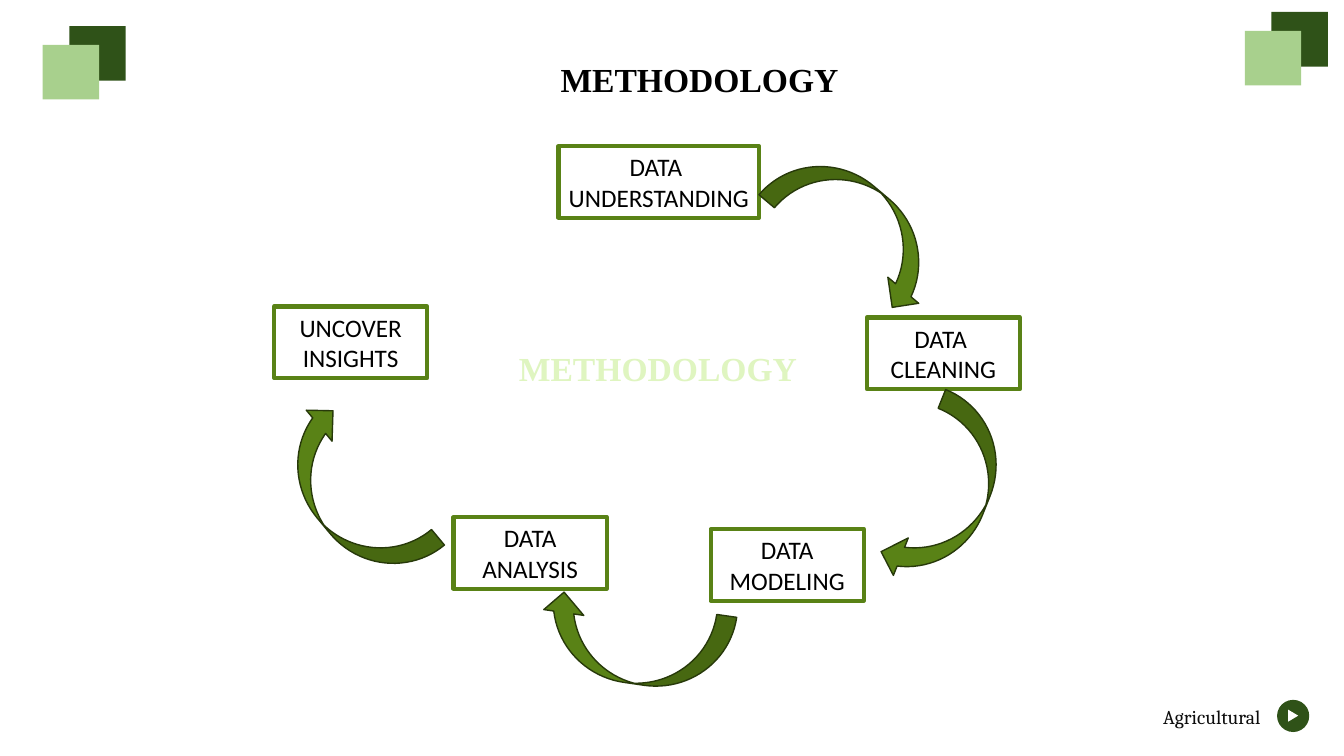
from pptx import Presentation
from pptx.dml.color import RGBColor
from pptx.enum.shapes import MSO_SHAPE
from pptx.enum.text import MSO_ANCHOR, PP_ALIGN
from pptx.util import Pt

RECTANGLE = MSO_SHAPE.RECTANGLE
OVAL = MSO_SHAPE.OVAL
TRIANGLE = MSO_SHAPE.ISOSCELES_TRIANGLE
CURVED_ARROW = MSO_SHAPE.CURVED_DOWN_ARROW
LEFT, CENTER = PP_ALIGN.LEFT, PP_ALIGN.CENTER
TOP, MIDDLE = MSO_ANCHOR.TOP, MSO_ANCHOR.MIDDLE

COLORS = {
    "dark": "2F5218",
    "light": "A8D08D",
    "green": "598216",
    "outline": "27390A",
    "pale": "DFF5C0",
    "black": "000000",
    "ink": "0D0D0D",
    "white": "FFFFFF",
}


class MethodologySlide:
    """Draws styled elements on one slide, with all lengths in points."""

    def __init__(self, slide):
        self.slide = slide

    def color(self, name):
        return RGBColor.from_string(COLORS[name])

    def shape(self, kind, left, top, width, height, fill=None, line=None,
              line_width=1, rotation=0):
        shape = self.slide.shapes.add_shape(
            kind, Pt(left), Pt(top), Pt(width), Pt(height))
        shape.shadow.inherit = False
        shape.rotation = rotation
        if fill:
            shape.fill.solid()
            shape.fill.fore_color.rgb = self.color(fill)
        else:
            shape.fill.background()
        if line:
            shape.line.color.rgb = self.color(line)
            shape.line.width = Pt(line_width)
        else:
            shape.line.fill.background()
        return shape

    def set_text(self, shape, text, font, size, color, align=CENTER,
                 anchor=MIDDLE, bold=False, wrap=True, space_before=0):
        text_frame = shape.text_frame
        text_frame.text = text
        text_frame.word_wrap = wrap
        text_frame.vertical_anchor = anchor
        for paragraph in text_frame.paragraphs:
            paragraph.alignment = align
            paragraph.space_before = Pt(space_before)
            for run in paragraph.runs:
                run.font.name = font
                run.font.size = Pt(size)
                run.font.bold = bold
                run.font.color.rgb = self.color(color)

    def text(self, left, top, width, height, text, font, size, color, **style):
        box = self.slide.shapes.add_textbox(
            Pt(left), Pt(top), Pt(width), Pt(height))
        self.set_text(box, text, font, size, color, **style)

    def heading(self, left, top, width, height, color, **style):
        self.text(left, top, width, height, "METHODOLOGY", "Times New Roman",
                  24, color, bold=True, **style)

    def step(self, left, top, width, text):
        box = self.shape(RECTANGLE, left, top, width, 51.1,
                         line="green", line_width=3)
        self.set_text(box, text, "Calibri", 18, "black")

    def arrow(self, left, top, rotation):
        self.shape(CURVED_ARROW, left, top, 139, 57.6, "green", "outline",
                   rotation=rotation)

    def corner_squares(self, left, top):
        self.shape(RECTANGLE, left + 19, top, 40.3, 39, "dark")
        self.shape(RECTANGLE, left, top + 13.4, 40.3, 39, "light")

    def footer(self, text):
        self.shape(OVAL, 912.2, 499.9, 23, 23, "dark")
        self.shape(TRIANGLE, 919.4, 507.6, 8.6, 7.2, "white", rotation=90)
        self.text(823.7, 499.7, 92, 24.5, text, "Cambria", 14, "ink",
                  align=LEFT, anchor=TOP, wrap=False)


def main():
    presentation = Presentation()
    presentation.slide_width = Pt(960)
    presentation.slide_height = Pt(540)
    blank_layout = presentation.slide_layouts[6]
    page = MethodologySlide(presentation.slides.add_slide(blank_layout))

    page.heading(122.4, 38.2, 754.6, 64, "black", anchor=TOP, space_before=6)
    page.heading(350, 243, 240, 40, "pale")
    page.footer("Agricultural")
    for left, top in [(889.2, 8.6), (30.5, 18.7)]:
        page.corner_squares(left, top)

    steps = [
        (398.9, 104.4, 143.3, "DATA \nUNDERSTANDING"),
        (619.2, 226.8, 109.4, "DATA \nCLEANING"),
        (507.6, 378, 109.4, "DATA\nMODELING"),
        (324, 369.4, 109.4, "DATA\nANALYSIS"),
        (195.8, 218.9, 109.4, "UNCOVER\nINSIGHTS"),
    ]
    for step in steps:
        page.step(*step)

    arrows = [
        (544.3, 133.2, 40.2),
        (607, 324.7, 111.7),
        (383.8, 430.6, 188.3),
        (181.4, 325.4, 230.3),
    ]
    for arrow in arrows:
        page.arrow(*arrow)

    presentation.save("out.pptx")


if __name__ == "__main__":
    main()
